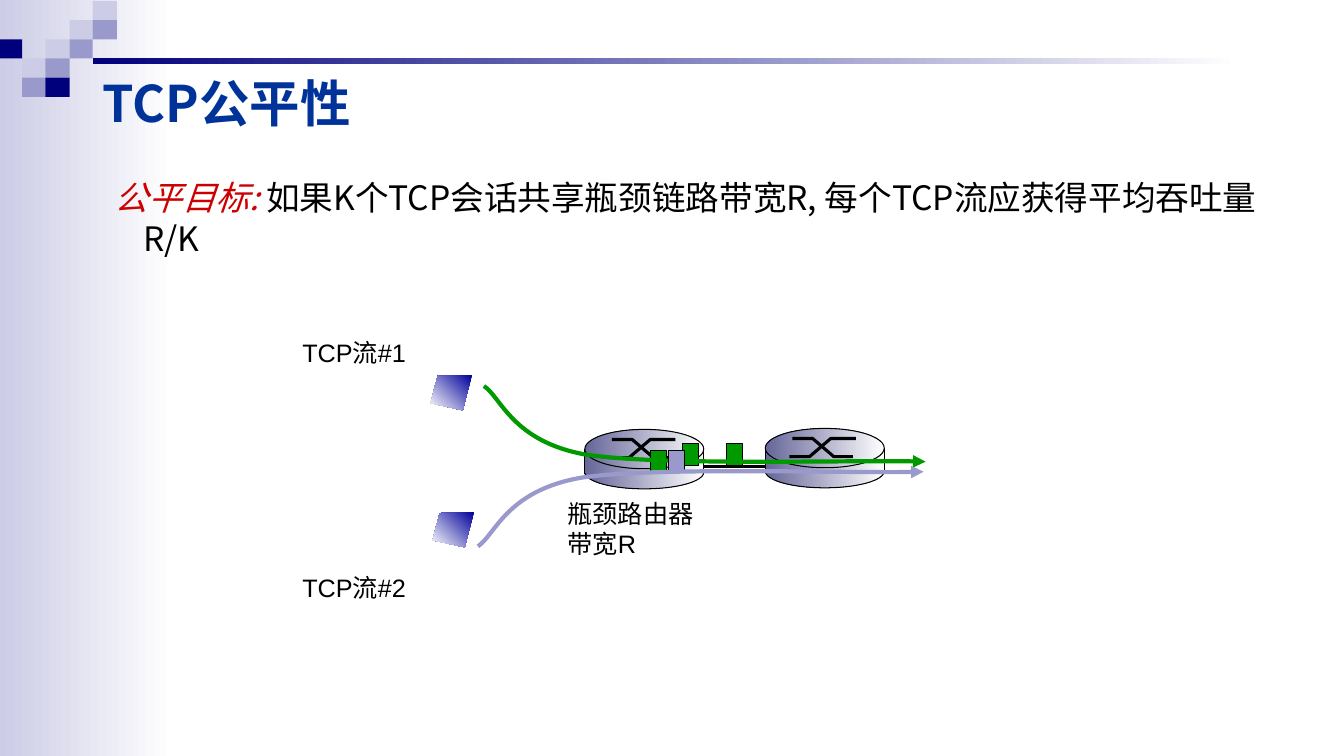
"""Build the slide on TCP fairness with two flows sharing a bottleneck router."""
from lxml import etree
from pptx import Presentation
from pptx import util as u
from pptx.dml.color import RGBColor
from pptx.enum import shapes, text
from pptx.oxml.ns import qn

PX = 9144
CJK = "Noto Sans CJK SC"
NAVY, LILAC, PALE, GREEN = "00007D", "9999CC", "CCCCE6", "009900"
RECT, OVAL = shapes.MSO_SHAPE.RECTANGLE, shapes.MSO_SHAPE.OVAL


def paint(sp, fills=(), line=None, width=0.75, angle=0):
    """Fill with no, one or two colours and outline a shape."""
    sp.shadow.inherit = False
    if len(fills) == 2:
        sp.fill.gradient()
        sp.fill.gradient_angle = angle
        for stop, color in zip(sp.fill.gradient_stops, fills):
            stop.color.rgb = RGBColor.from_string(color)
    elif fills:
        sp.fill.solid()
        sp.fill.fore_color.rgb = RGBColor.from_string(fills[0])
    else:
        sp.fill.background()
    if line:
        sp.line.color.rgb = RGBColor.from_string(line)
        sp.line.width = u.Pt(width)
    else:
        sp.line.fill.background()


def style(r, size, color, latin=CJK, bold=False, italic=False):
    """Format a run for Latin and Chinese characters."""
    r.font.size, r.font.bold, r.font.italic = u.Pt(size), bold, italic
    r.font.color.rgb = RGBColor.from_string(color)
    r.font.name = latin
    etree.SubElement(r.font._element, qn("a:ea"), typeface=CJK)


prs = Presentation()
prs.slide_width, prs.slide_height = 1333 * PX, 750 * PX
s = prs.slides.add_slide(prs.slide_layouts[5])

band = s.shapes.add_shape(RECT, 0, 0, 173 * PX, 750 * PX)
paint(band, (PALE, "FFFFFF"))

edges = [-1, 22, 45, 69, 92, 116]
tones = {"p": PALE, "l": LILAC, "n": NAVY}
for row, codes in enumerate(["....p", "...pl", "n.pl.", ".pl..", ".ln.."]):
    for col, code in enumerate(codes):
        if code in tones:
            tile = s.shapes.add_shape(RECT, edges[col] * PX, (1 + 19 * row) * PX,
                                      (edges[col + 1] - edges[col]) * PX, 19 * PX)
            paint(tile, (tones[code],))

rule = s.shapes.add_shape(RECT, 92 * PX, 58 * PX, 1137 * PX, 6 * PX)
paint(rule, (NAVY, "FFFFFF"))

title = s.shapes.title
s.shapes.element.append(title.element)
title.left, title.top, title.width, title.height = 92 * PX, 39 * PX, 850 * PX, 125 * PX
tf = title.text_frame
tf.text = "TCP公平性"
tf.vertical_anchor = text.MSO_ANCHOR.MIDDLE
tf.paragraphs[0].alignment = text.PP_ALIGN.LEFT
style(tf.paragraphs[0].runs[0], 36, "003399", bold=True)

goal = s.shapes.add_textbox(104 * PX, 171 * PX, 1169 * PX, 110 * PX)
goal.text_frame.word_wrap = True
p = goal.text_frame.paragraphs[0]
pPr = p._p.get_or_add_pPr()
pPr.set("marL", str(28 * PX))
pPr.set("indent", str(-28 * PX))
for words, color, italic in [
        ("公平目标: ", "CC0000", True),
        ("如果K个TCP会话共享瓶颈链路带宽R, 每个TCP流应获得平均吞吐量R/K", "000000", False)]:
    r = p.add_run()
    r.text = words
    style(r, 24, color, italic=italic)

lines = [(698, 463, 759, 463, 2.25)]
for x, y in [(580, 426), (759, 425)]:
    for kind, dy, height, line in [(OVAL, 26, 33, "000000"), (RECT, 23, 20, None),
                                   (OVAL, 0, 39, "000000")]:
        sp = s.shapes.add_shape(kind, x * PX, (y + dy) * PX, 118 * PX, height * PX)
        paint(sp, ("666699", "FFFFFF"), line)
    for bar in [[(24, 28), (44, 28), (65, 10), (90, 10)],
                [(27, 10), (47, 10), (68, 28), (87, 28)]]:
        points = [(x + dx, y + dy) for dx, dy in bar]
        fb = s.shapes.build_freeform(*points[0], scale=PX)
        fb.add_line_segments(points[1:], close=False)
        paint(fb.convert_to_shape(), line="000000", width=2.25)
    lines += [(x + dx, y + 19, x + dx, y + 44, 0.75) for dx in (0, 118)]

for x1, y1, x2, y2, width in lines:
    cn = s.shapes.add_connector(shapes.MSO_CONNECTOR.STRAIGHT,
                                x1 * PX, y1 * PX, x2 * PX, y2 * PX)
    cn.line.color.rgb = RGBColor.from_string("000000")
    cn.line.width = u.Pt(width)
    etree.SubElement(cn._element.spPr, qn("a:effectLst"))

flows = [
    (GREEN, [(721, 440), (645, 447), (677, 440)],
     [(480, 383), (497, 394), (508, 438), (581, 451), (654, 462), (848, 456), (918, 458)]),
    (LILAC, [(663, 447)],
     [(474, 542), (491, 531), (502, 487), (576, 474), (649, 463), (845, 470), (916, 468)]),
]
for color, packets, points in flows:
    for x, y in packets:
        packet = s.shapes.add_shape(RECT, x * PX, y * PX, 16 * PX, 22 * PX)
        paint(packet, (color,), "000000")
    fb = s.shapes.build_freeform(*points[0], scale=PX)
    fb.add_line_segments(points[1:], close=False)
    flow = fb.convert_to_shape()
    paint(flow, line=color, width=3)
    segments = list(flow._element.iter(qn("a:lnTo")))
    for i in range(0, len(segments), 3):
        curve = etree.SubElement(segments[i].getparent(), qn("a:cubicBezTo"))
        for segment in segments[i:i + 3]:
            curve.append(segment[0])
            segment.getparent().remove(segment)
    etree.SubElement(flow.line._get_or_add_ln(), qn("a:tailEnd"), type="triangle")

for x, y, width, height, words in [(290, 330, 124, 40, ["TCP流#1"]),
                                   (553, 489, 146, 71, ["瓶颈路由器", "带宽R"]),
                                   (290, 563, 124, 40, ["TCP流#2"])]:
    label = s.shapes.add_textbox(x * PX, y * PX, width * PX, height * PX)
    tf = label.text_frame
    tf.word_wrap = True
    tf.text = "\n".join(words)
    for p in tf.paragraphs:
        style(p.runs[0], 18, "000000", latin="Arial")

for x, y in [(427, 372), (429, 508)]:
    fb = s.shapes.build_freeform(x + 41, y, scale=PX)
    fb.add_line_segments([(x + 7, y + 1), (x, y + 28), (x + 32, y + 35)])
    paint(fb.convert_to_shape(), ("000099", "FFFFFF"), angle=225)

prs.save("out.pptx")
